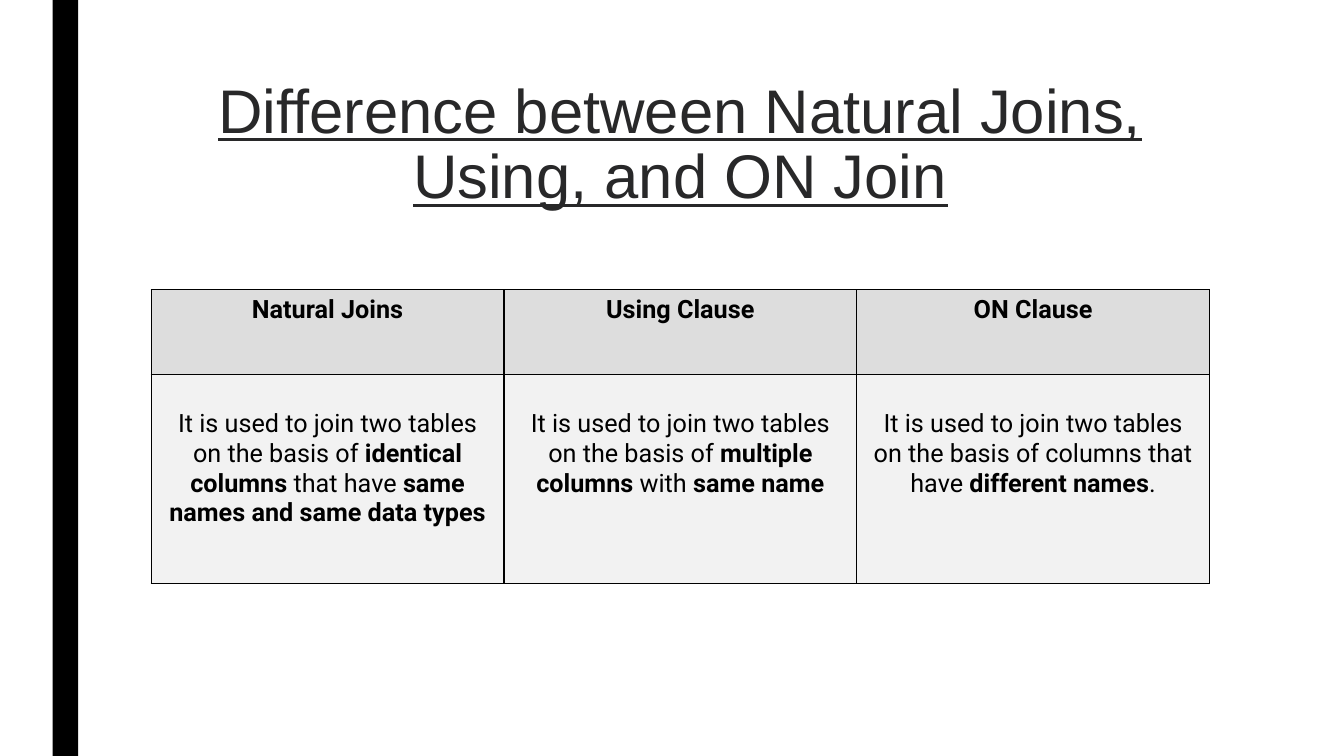
"""Builds the slide that compares natural joins, USING and ON."""
from lxml.etree import SubElement
from pptx import Presentation
from pptx.dml.color import RGBColor
from pptx.enum.shapes import MSO_SHAPE as SHAPE
from pptx.enum.text import MSO_ANCHOR as ANCHOR, PP_ALIGN as ALIGN
from pptx.oxml.ns import qn
from pptx.util import Cm, Pt

BLACK = RGBColor(0x00, 0x00, 0x00)
CHARCOAL = RGBColor(0x28, 0x28, 0x29)
HEADER_GREY = RGBColor(0xDD, 0xDD, 0xDD)
BODY_GREY = RGBColor(0xF2, 0xF2, 0xF2)

HEADERS = ["Natural Joins", "Using Clause", "ON Clause"]
DESCRIPTIONS = [
    "It is used to join two tables on the basis of *identical columns *that have "
    "*same names and same data types*",
    "It is used to join two tables on the basis of *multiple columns *with *same name*",
    "It is used to join two tables on the basis of columns that have *different names*.",
]


class SlideBuilder:
    title_font, body_font = "Arial", "Roboto"
    title_size, body_size = Pt(44), Pt(18)

    def __init__(self, prs):
        self.s = prs.slides.add_slide(prs.slide_layouts[5])

    def bar(self, left, top, width, height):
        sp = self.s.shapes.add_shape(SHAPE.RECTANGLE, left, top, width, height)
        sp.shadow.inherit = False
        sp.fill.solid()
        sp.fill.fore_color.rgb = BLACK
        sp.line.fill.background()

    def title(self, text, left, top, width, height):
        sp = self.s.shapes.title
        sp.left, sp.top, sp.width, sp.height = left, top, width, height
        tf = sp.text_frame
        tf.text = text
        tf.word_wrap = True
        tf.vertical_anchor = ANCHOR.TOP
        p = tf.paragraphs[0]
        p.alignment = ALIGN.CENTER
        p.line_spacing = 0.89
        font = p.runs[0].font
        font.name, font.size, font.underline = self.title_font, self.title_size, True
        font.color.rgb = CHARCOAL

    def table(self, left, top, width, heights, rows):
        columns = len(rows[0][0])
        table = self.s.shapes.add_table(
            len(rows), columns, left, top, width, sum(heights)).table
        for i, (texts, fill, margin) in enumerate(rows):
            table.rows[i].height = heights[i]
            for j, text in enumerate(texts):
                self.cell(table.cell(i, j), text, fill, margin)

    def cell(self, cell, text, fill, margin):
        cell.margin_top = margin
        p = cell.text_frame.paragraphs[0]
        p.alignment = ALIGN.CENTER
        for k, part in enumerate(text.split("*")):
            if part:
                r = p.add_run()
                r.text = part
                r.font.name, r.font.size = self.body_font, self.body_size
                r.font.bold = k % 2 == 1
                r.font.color.rgb = BLACK
        self.borders(cell)
        cell.fill.solid()
        cell.fill.fore_color.rgb = fill

    def borders(self, cell):
        tc_pr = cell._tc.get_or_add_tcPr()
        for side in ("a:lnL", "a:lnR", "a:lnT", "a:lnB"):
            ln = SubElement(tc_pr, qn(side), w=str(Pt(1)))
            SubElement(SubElement(ln, qn("a:solidFill")), qn("a:srgbClr"), val=str(BLACK))


prs = Presentation()
prs.slide_width, prs.slide_height = Cm(33.87), Cm(19.05)
slide = SlideBuilder(prs)
slide.bar(Cm(1.33), Cm(0), Cm(0.64), prs.slide_height)
slide.title("Difference between Natural Joins, Using, and ON Join",
            Cm(3.81), Cm(1.9), Cm(26.67), Cm(4.11))
slide.table(Cm(3.81), Cm(7.3), Cm(26.67), [Cm(2.13), Cm(5.28)], [
    ([f"*{header}*" for header in HEADERS], HEADER_GREY, Cm(0.13)),
    (DESCRIPTIONS, BODY_GREY, Cm(0.89)),
])
prs.save("out.pptx")
